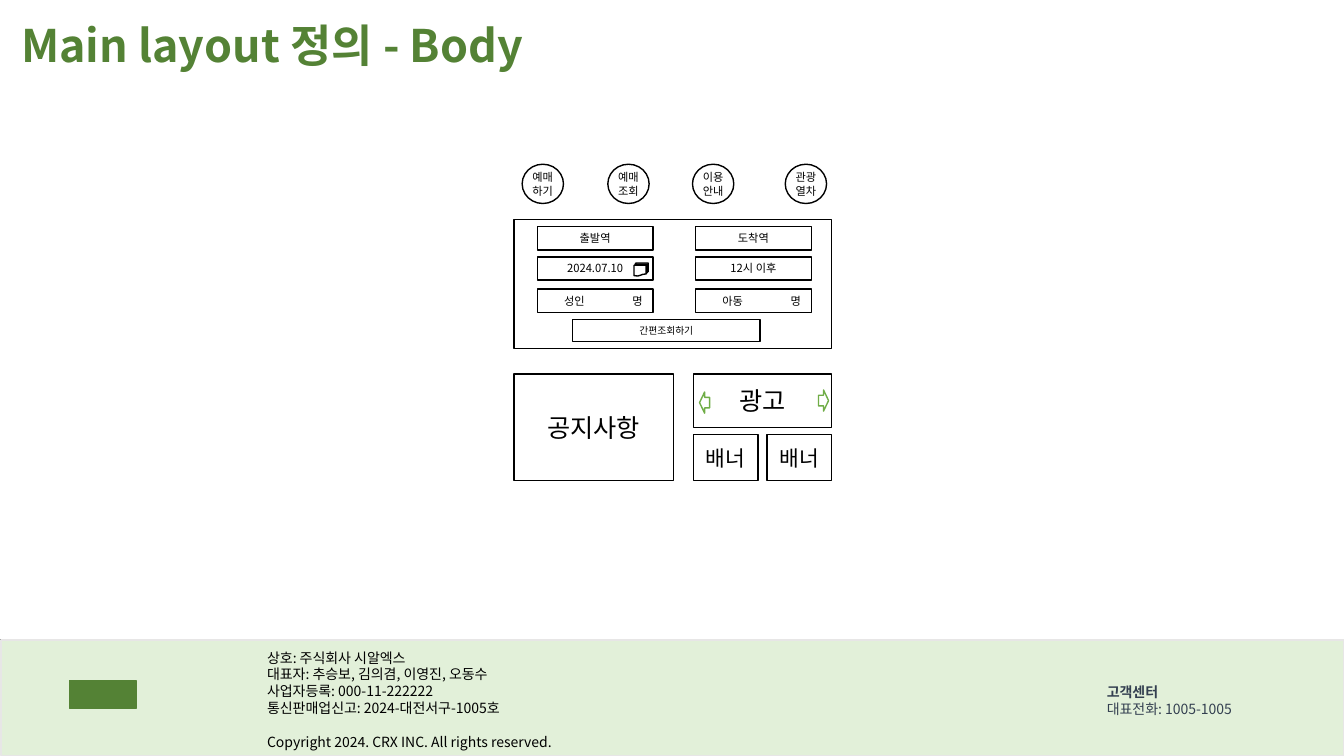
"""Build the body layout wireframe slide with its company footer."""
from dataclasses import dataclass
from lxml.etree import SubElement as Sub
from pptx import Presentation
from pptx.dml.color import RGBColor as Rgb
from pptx.enum.shapes import MSO_CONNECTOR as Link, MSO_SHAPE as Kind
from pptx.enum.text import MSO_ANCHOR as Anchor, PP_ALIGN as Align
from pptx.oxml.ns import qn
from pptx.util import Inches, Pt


@dataclass(frozen=True)
class Theme:
    font: str = "Noto Sans CJK KR"
    ink: str = "000000"
    paper: str = "FFFFFF"
    green: str = "548235"
    leaf: str = "70AD47"
    mint: str = "E2F0D9"
    edge: str = "E7E6E6"
    slate: str = "333F50"
    title: float = 32
    head: float = 18
    banner: float = 15.3
    foot: float = 10
    label: float = 8
    small: float = 7


look = Theme()
deck = Presentation()
deck.slide_width, deck.slide_height = Inches(13.33), Inches(7.5)
cell = deck.slide_width / 40
slide = deck.slides.add_slide(deck.slide_layouts[5])
shapes = slide.shapes


def write(shape, text, size, color=look.ink, align=Align.LEFT,
          anchor=Anchor.TOP, pad=(0, 0), bold=False):
    frame = shape.text_frame
    frame.text = text
    frame.word_wrap = True
    frame.vertical_anchor = anchor
    frame.margin_left = frame.margin_right = int(pad[0] * cell)
    frame.margin_top = frame.margin_bottom = int(pad[1] * cell)
    for par in frame.paragraphs:
        par.alignment = align
        for run in par.runs:
            run.font.size, run.font.bold, run.font.name = Pt(size), bold, look.font
            run.font.color.rgb = Rgb.from_string(color)
            Sub(run._r.get_or_add_rPr(), qn("a:ea"), typeface=look.font)
    return frame


def draw(kind, x, y, w, h, text="", size=look.label, fill=look.paper, line=look.ink):
    shape = shapes.add_shape(kind, *(int(n * cell) for n in (x, y, w, h)))
    shape.shadow.inherit = False
    shape.fill.solid()
    shape.fill.fore_color.rgb = Rgb.from_string(fill)
    shape.line.color.rgb = Rgb.from_string(line)
    shape.line.width = Pt(1)
    if text:
        write(shape, text, size, align=Align.CENTER, anchor=Anchor.MIDDLE)
    return shape


title = shapes.title
title.left, title.top, title.width, title.height = (
    int(n * cell) for n in (0.03, 0.36, 25.05, 1.92))
write(title, "Main layout 정의 - Body", look.title, look.green,
      anchor=Anchor.MIDDLE, pad=(0.6, 0.15), bold=True)

base = int(19.05 * cell)
rule = shapes.add_connector(Link.STRAIGHT, 0, base, deck.slide_width, base)
rule.line.color.rgb = Rgb.from_string(look.ink)
rule.line.width = Pt(1)
Sub(rule._element.spPr, qn("a:effectLst"))
draw(Kind.RECTANGLE, 0.03, 19.05, 39.97, 3.45, fill=look.mint, line=look.edge)
draw(Kind.RECTANGLE, 2.07, 20.25, 1.98, 0.84, fill=look.green, line=look.green)

firm = "\n".join((
    "상호: 주식회사 시알엑스",
    "대표자: 추승보, 김의겸, 이영진, 오동수",
    "사업자등록: 000-11-222222",
    "통신판매업신고: 2024-대전서구-1005호",
    "Copyright 2024. CRX INC. All rights reserved."))
notes = []
for x, y, w, h, text, color in (
        (7.65, 19.17, 16.92, 3.33, firm, look.ink),
        (32.64, 20.19, 5.97, 1.32, "고객센터\n대표전화: 1005-1005", look.slate)):
    note = shapes.add_textbox(*(int(n * cell) for n in (x, y, w, h)))
    notes.append(write(note, text, look.foot, color, pad=(0.3, 0.15)))
about, desk = notes
about.paragraphs[-1].space_before = Pt(12)
desk.paragraphs[0].runs[0].font.bold = True

for x, text in ((15.54, "예매\n하기"), (18.09, "예매\n조회"),
                (20.61, "이용\n안내"), (23.37, "관광\n열차")):
    draw(Kind.OVAL, x, 4.89, 1.23, 1.17, text)

draw(Kind.RECTANGLE, 15.3, 6.54, 9.45, 3.84)
for y, pair in ((6.75, ("출발역", "도착역")),
                (7.65, ("2024.07.10", "12시 이후")),
                (8.61, ("성인\t명", "아동\t명"))):
    for col, text in enumerate(pair):
        field = draw(Kind.RECTANGLE, 15.99 + 4.71 * col, y, 3.45, 0.69, text)
        if "\t" in text:
            frame = field.text_frame
            frame.margin_left = int(0.8 * cell)
            par = frame.paragraphs[0]
            par.alignment = Align.LEFT
            tabs = Sub(par._p.get_or_add_pPr(), qn("a:tabLst"))
            Sub(tabs, qn("a:tab"), pos=str(int(2.03 * cell)), algn="l")

for x, y, w, h, text, size in (
        (17.04, 9.51, 5.58, 0.66, "간편조회하기", look.small),
        (15.3, 11.13, 4.74, 3.18, "공지사항", look.head),
        (20.64, 11.13, 4.11, 1.59, "광고", look.head),
        (20.64, 12.93, 1.92, 1.38, "배너", look.banner),
        (22.83, 12.93, 1.92, 1.38, "배너", look.banner)):
    draw(Kind.RECTANGLE, x, y, w, h, text, size)

for x, y, turn in ((24.36, 11.61, 0), (20.82, 11.67, 180)):
    draw(Kind.RIGHT_ARROW, x, y, 0.3, 0.63, line=look.leaf).rotation = turn
draw(Kind.FLOWCHART_MULTIDOCUMENT, 18.87, 7.83, 0.42, 0.39)

deck.save("out.pptx")
